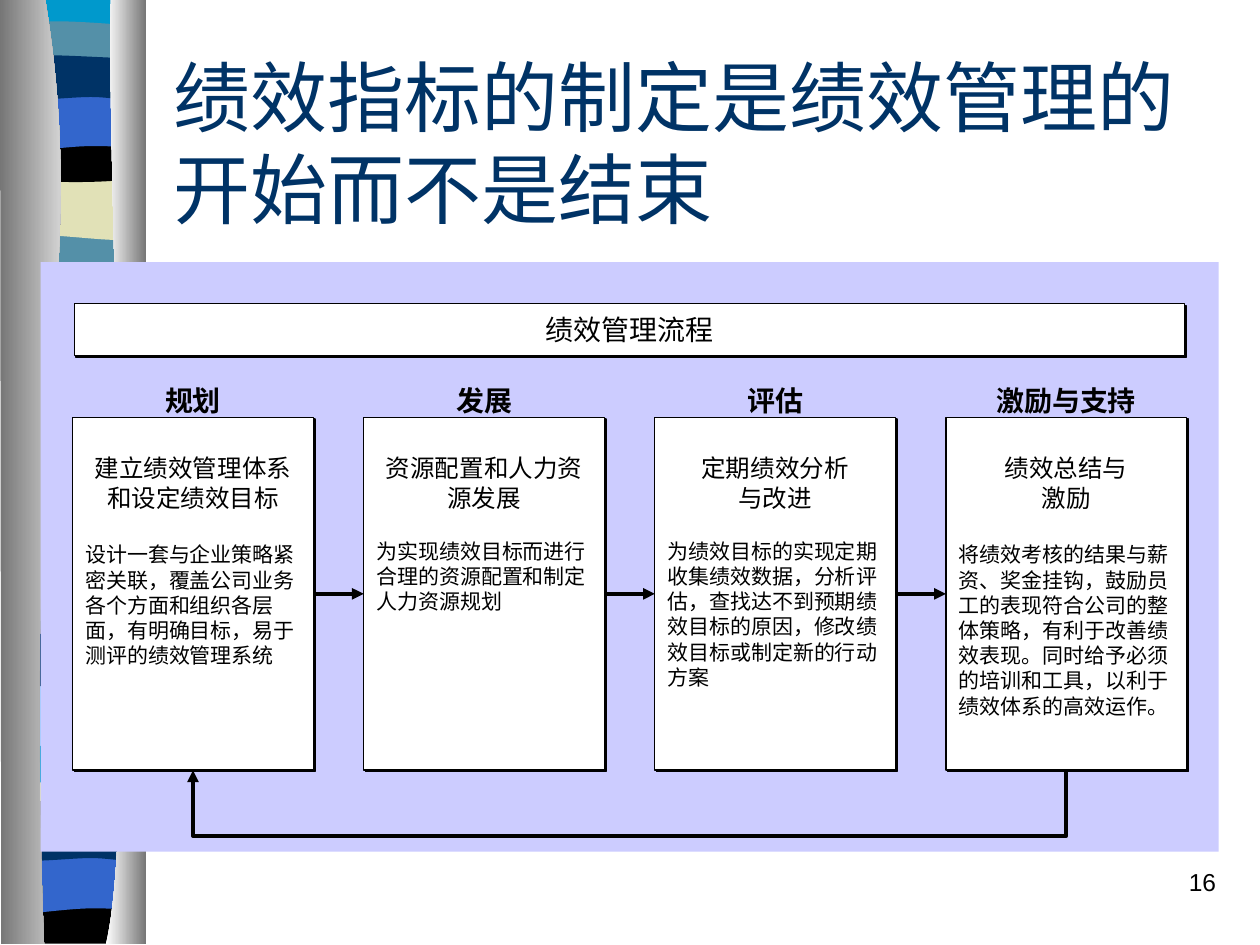
from lxml.etree import SubElement
from pptx import Presentation
from pptx.dml.color import RGBColor
from pptx.enum.shapes import MSO_CONNECTOR, MSO_SHAPE
from pptx.enum.text import MSO_ANCHOR, PP_ALIGN
from pptx.oxml.ns import qn
from pptx.util import Inches, Pt

COLORS = {
    "sky": "0099CC", "teal": "5490A8", "sand": "E1E1B7", "black": "000000",
    "blue": "3366CC", "navy": "003366", "pale": "99CCFF", "white": "FFFFFF",
    "grey": "767676", "lilac": "CCCCFF",
}
RGB = {name: RGBColor.from_string(value) for name, value in COLORS.items()}
CJK = "Noto Sans CJK SC"

prs = Presentation()
prs.slide_width, prs.slide_height = Inches(10), Inches(7.5)
s = prs.slides.add_slide(prs.slide_layouts[6])
U = prs.slide_width / 100


def grid(*values):
    return [round(v * U) for v in values]


def write(p, text, size, font=CJK, color="black", bold=False, align=PP_ALIGN.CENTER):
    p.alignment = align
    p.line_spacing = Pt(round(size * 1.2, 1))
    p._p.get_or_add_pPr().set("hangingPunct", "0")
    for n, line in enumerate(text.split("\n")):
        if n:
            p.add_line_break()
        r = p.add_run()
        r.text = line
        r.font.size, r.font.name, r.font.bold = Pt(size), font, bold
        r.font.color.rgb = RGB[color]
        if font == CJK:
            SubElement(r.font._element, qn("a:ea")).set("typeface", font)


PROFILES = {
    "base": [(11.4, 0), (11.4, 74.7), (0.6, 74.7), (0.6, 0)],
    "swell": [(11.4, 0), (11.4, 4.7), (3.9, 3.9, 2.4, 5.5, 0.6, 4.7), (0.6, 0)],
    "dip": [(11.4, 0), (11.4, 4.7), (9.6, 5.5, 3.9, 4.1, 0.6, 4.7), (0.6, 0)],
    "strip": [(11.4, 0), (11.4, 2.4), (9.6, 2.8, 2.4, 2.8, 0.6, 2.4), (0.6, 0),
              (1.2, -0.5, 2.9, -0.4, 4.7, -0.4), (6.5, -0.4, 10, -0.1, 11.4, 0)],
    "bowl": [(11.4, 0), (11.4, 3.2), (9.6, 3.8, 2.4, 3.8, 0.6, 3.2), (0.6, 0),
             (7.2, 0.5, 9.1, 0, 11.4, 0)],
    "arch": [(11.4, 0), (11.4, 4.7), (9.7, 4.2, 9, 4.2, 7.2, 4.2),
             (5.4, 4.2, 2.2, 4.7, 0.6, 4.7), (0.6, 0)],
    "ripple": [(11.4, 0), (11.4, 3.1), (10.7, 3.6, 9, 3.1, 7.2, 3.1),
               (5.4, 3.1, 1.7, 3.6, 0.6, 3.1), (0.6, 0),
               (2.1, -0.5, 7.9, 0, 9.7, 0), (11.5, 0, 11, 0, 11.4, 0)],
    "foot": [(11.4, 0), (11.4, 3.7), (0.6, 3.7), (0.6, 0), (7.2, 0.5, 9.1, 0, 11.4, 0)],
    "left pillar": [(3.6, 0), (7.1, 21.6, 1.7, 29.6, 3.5, 74.9), (0.1, 74.9), (0, 0)],
    "right pillar": [(8.8, 0), (8.4, 12.5, 11.1, 64.6, 8.4, 74.9), (11.6, 74.9), (11.6, 0)],
}
DECOR = [
    ("base", 0, "sky"), ("swell", 18.5, "teal"), ("dip", 14.1, "sand"),
    ("strip", 2.1, "teal"), ("bowl", 10.8, "black"), ("arch", 7.4, "blue"),
    ("ripple", 4.6, "navy"), ("swell", 43.1, "teal"), ("dip", 38.6, "black"),
    ("strip", 26.7, "navy"), ("bowl", 35.3, "sand"), ("arch", 32, "blue"),
    ("ripple", 29.1, "pale"), ("swell", 54.4, "pale"), ("dip", 49.9, "navy"),
    ("strip", 62.5, "sand"), ("foot", 71.2, "black"), ("arch", 67.9, "blue"),
    ("ripple", 65, "navy"), ("left pillar", 0, ("grey", "white")),
    ("right pillar", 0, ("white", "grey")),
]
for profile, top, color in DECOR:
    start, *segments = PROFILES[profile]
    points = [tuple(grid(seg[k], seg[k + 1] + top))
              for seg in segments for k in range(0, len(seg), 2)]
    builder = s.shapes.build_freeform(*grid(start[0], start[1] + top))
    builder.add_line_segments(points, close=True)
    sp = builder.convert_to_shape()
    outline = next(sp._element.iter(qn("a:path")))
    steps = iter(outline.findall(qn("a:lnTo")))
    for seg in segments:
        step = next(steps)
        if len(seg) == 6:
            step.tag = qn("a:cubicBezTo")
            for extra in (next(steps), next(steps)):
                step.append(extra[0])
                outline.remove(extra)
    sp.shadow.inherit = False
    sp.line.fill.background()
    if isinstance(color, tuple):
        sp.fill.gradient()
        sp.fill.gradient_angle = 0
        for stop, name in zip(sp.fill.gradient_stops, color):
            stop.color.rgb = RGB[name]
    else:
        sp.fill.solid()
        sp.fill.fore_color.rgb = RGB[color]

tf = s.shapes.add_textbox(*grid(12.8, 5, 85, 12.5)).text_frame
tf.word_wrap, tf.vertical_anchor = True, MSO_ANCHOR.MIDDLE
write(tf.paragraphs[0], "绩效指标的制定是绩效管理的开始而不是结束", 44,
      "Times New Roman", "navy", align=PP_ALIGN.LEFT)

panel = s.shapes.add_shape(MSO_SHAPE.RECTANGLE, *grid(3.23, 20.8, 93.5, 46.8))
panel.shadow.inherit = False
panel.fill.solid()
panel.fill.fore_color.rgb = RGB["lilac"]
panel.line.fill.background()

STAGES = [
    ("规划", ["建立绩效管理体系和设定绩效目标"], 17,
     "设计一套与企业策略紧密关联，覆盖公司业务各个方面和组织各层面，有明确目标，易于测评的绩效管理系统"),
    ("发展", ["资源配置和人力资源发展"], 15,
     "为实现绩效目标而进行合理的资源配置和制定人力资源规划"),
    ("评估", ["定期绩效分析\n与改进"], 15,
     "为绩效目标的实现定期收集绩效数据，分析评估，查找达不到预期绩效目标的原因，修改绩效目标或制定新的行动方案"),
    ("激励与支持", ["绩效总结与", "激励"], 17,
     "将绩效考核的结果与薪资、奖金挂钩，鼓励员工的表现符合公司的整体策略，有利于改善绩效表现。同时给予必须的培训和工具，以利于绩效体系的高效运作。"),
]
LEFT, PITCH, TOP, CARD_W, CARD_H = 5.77, 23.1, 33.13, 19.1, 28
cards = []
for i, (stage, heads, gap, body) in enumerate(STAGES):
    x = LEFT + i * PITCH
    card = s.shapes.add_shape(MSO_SHAPE.RECTANGLE, *grid(x, TOP, CARD_W, CARD_H))
    cards.append(card)
    tf = card.text_frame
    tf.vertical_anchor = MSO_ANCHOR.TOP
    tf.margin_top = grid(2.85)[0]
    for n, head in enumerate(heads):
        write(tf.add_paragraph() if n else tf.paragraphs[0], head, 14)
    p = tf.add_paragraph()
    p.space_before = Pt(gap)
    write(p, body, 12, align=PP_ALIGN.LEFT)

    label_w = 2 + 2.22 * len(stage)
    label = s.shapes.add_textbox(*grid(x + (CARD_W - label_w) / 2, 29.9, label_w, 3.7))
    label.text_frame.word_wrap = False
    label.text_frame.vertical_anchor = MSO_ANCHOR.MIDDLE
    write(label.text_frame.paragraphs[0], stage, 16, bold=True)

banner = s.shapes.add_shape(MSO_SHAPE.RECTANGLE, *grid(5.9, 24.1, 88.1, 4.15))
banner.text_frame.vertical_anchor = MSO_ANCHOR.MIDDLE
write(banner.text_frame.paragraphs[0], "绩效管理流程", 16)

for sp in [banner, *cards]:
    sp.text_frame.word_wrap = True
    sp.fill.solid()
    sp.fill.fore_color.rgb = RGB["white"]
    sp.line.color.rgb = RGB["black"]
    sp.line.width = Pt(0.75)
    sp.shadow.inherit = False
    effects = sp._element.spPr.find(qn("a:effectLst"))
    shadow = SubElement(effects, qn("a:outerShdw"), dist=str(Pt(1.4)), dir="2700000",
                        algn="ctr", rotWithShape="0")
    SubElement(shadow, qn("a:srgbClr"), val=COLORS["black"])

arrows = []
for a, b in zip(cards, cards[1:]):
    arrow = s.shapes.add_connector(MSO_CONNECTOR.STRAIGHT, 0, 0, 0, 0)
    arrow.begin_connect(a, 3)
    arrow.end_connect(b, 1)
    arrows.append(arrow)

loop = s.shapes.add_connector(MSO_CONNECTOR.ELBOW, 0, 0, 0, 0)
loop.begin_connect(cards[-1], 2)
loop.end_connect(cards[0], 2)
span, thin, drop = 3 * PITCH, 0.02, 5.3
center = LEFT + (CARD_W + span) / 2
loop.left, loop.top, loop.width, loop.height = grid(
    center - thin / 2, TOP + CARD_H - span / 2, thin, span)
xfrm = loop._element.spPr.find(qn("a:xfrm"))
xfrm.attrib.pop("flipH", None)
xfrm.attrib.pop("flipV", None)
xfrm.set("rot", "5400000")
geom = loop._element.spPr.find(qn("a:prstGeom"))
SubElement(geom.find(qn("a:avLst")), qn("a:gd"), name="adj1",
           fmla=f"val {round(drop / thin * 100000)}")

for arrow in [*arrows, loop]:
    arrow.line.color.rgb = RGB["black"]
    arrow.line.width = Pt(2.25)
    SubElement(arrow.line._get_or_add_ln(), qn("a:tailEnd"), type="triangle")
    SubElement(arrow._element.spPr, qn("a:effectLst"))

tf = s.shapes.add_textbox(*grid(76.7, 68.3, 20.8, 5)).text_frame
tf.word_wrap = True
write(tf.paragraphs[0], "16", 14, "Arial", align=PP_ALIGN.RIGHT)

prs.save("out.pptx")
